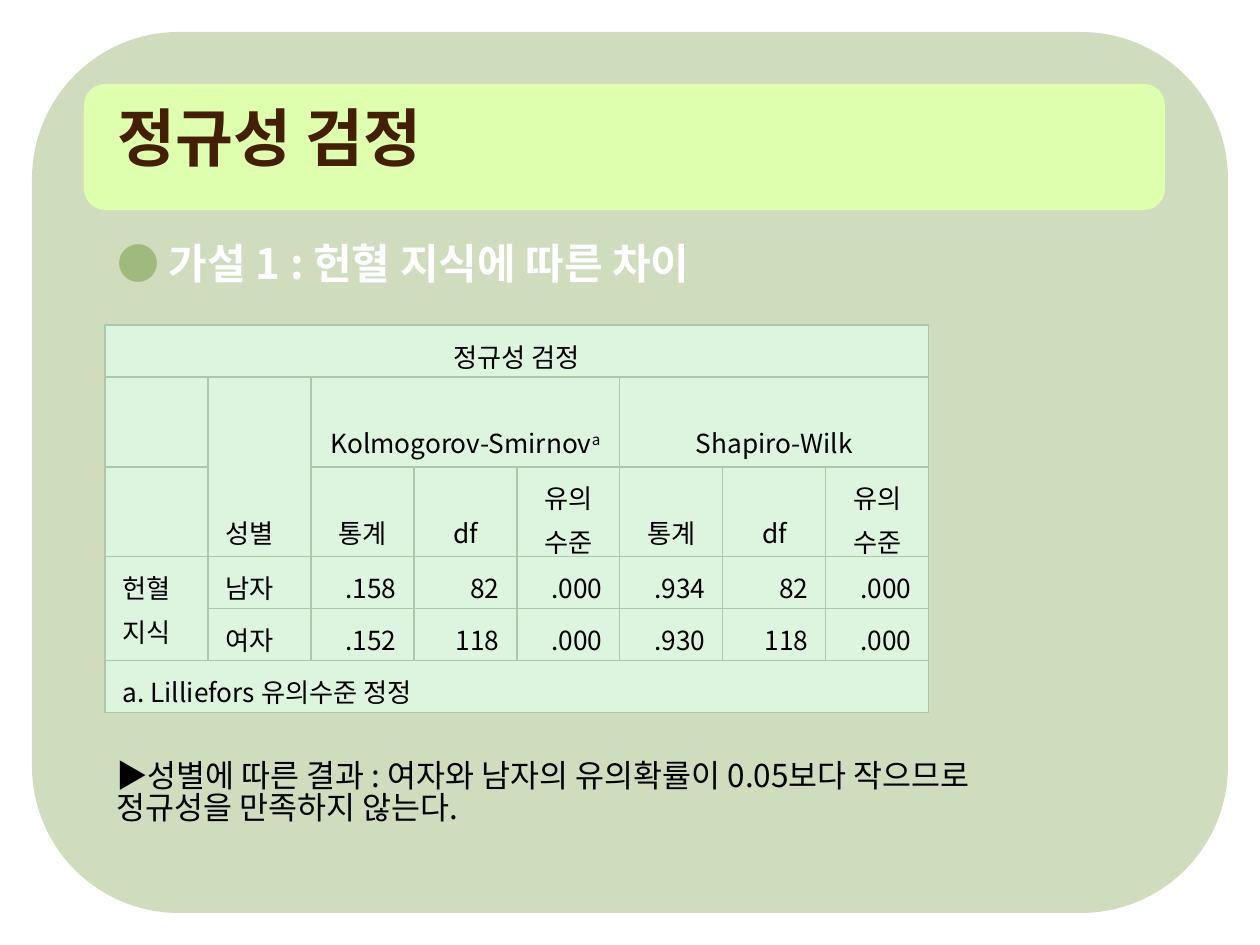
from lxml.etree import SubElement
from pptx import Presentation
from pptx.dml.color import RGBColor
from pptx.enum.shapes import MSO_SHAPE
from pptx.enum.text import MSO_ANCHOR as ANCHOR, MSO_AUTO_SIZE, PP_ALIGN as ALIGN
from pptx.oxml.ns import qn
from pptx.util import Emu, Pt

PX = 914400 // 126
FONT = "Noto Sans CJK KR"
WHITE = RGBColor(0xFF, 0xFF, 0xFF)
BLACK = RGBColor(0x00, 0x00, 0x00)
SAGE = RGBColor(0xCF, 0xDC, 0xBE)
LIME = RGBColor(0xDE, 0xFF, 0xAD)
LEAF = RGBColor(0x9F, 0xBA, 0x7C)
BROWN = RGBColor(0x43, 0x20, 0x03)
MINT = RGBColor(0xDD, 0xF4, 0xDE)
BORDER = RGBColor(0xAB, 0xC8, 0xAB)


def add_run(paragraph, text, **formats):
    """Append a run, with its colour and font attributes given by name."""
    run = paragraph.add_run()
    run.text = text
    run.font.color.rgb = formats.pop("color", BLACK)
    for name, value in {"name": FONT, **formats}.items():
        setattr(run.font, name, value)
    SubElement(run.font._element, qn("a:ea"), typeface=FONT)
    return run


def draw_borders(cell):
    properties = cell._tc.get_or_add_tcPr()
    for position, side in enumerate(("a:lnL", "a:lnR", "a:lnT", "a:lnB")):
        line = properties.makeelement(qn(side), {"w": str(Pt(0.75))})
        color = SubElement(SubElement(line, qn("a:solidFill")), qn("a:srgbClr"))
        color.set("val", str(BORDER))
        properties.insert(position, line)


prs = Presentation()
prs.slide_width, prs.slide_height = Emu(1260 * PX), Emu(945 * PX)
slide = prs.slides.add_slide(prs.slide_layouts[6])

# Background panel and title band
for box, color in (((32, 32, 1196, 881), SAGE), ((84, 84, 1081, 126), LIME)):
    panel = slide.shapes.add_shape(MSO_SHAPE.ROUNDED_RECTANGLE, *(n * PX for n in box))
    panel.shadow.inherit = False
    panel.fill.solid()
    panel.fill.fore_color.rgb = color
    panel.line.fill.background()

# Title, hypothesis and conclusion
texts = [
    ((105, 105, 359, 90), False, 36, True, [("정규성 검정", BROWN)]),
    ((105, 239, 1071, 63), True, 24, True,
     [("● ", LEAF), ("가설 1 : 헌혈 지식에 따른 차이", WHITE)]),
    ((104, 756, 976, 90), True, 18, False,
     [("▶성별에 따른 결과 : 여자와 남자의 유의확률이 0.05보다 작으므로 "
       "정규성을 만족하지 않는다.", BLACK)]),
]
for box, wrap, size, bold, parts in texts:
    frame = slide.shapes.add_textbox(*(n * PX for n in box)).text_frame
    frame.word_wrap = wrap
    frame.auto_size = MSO_AUTO_SIZE.SHAPE_TO_FIT_TEXT
    paragraph = frame.paragraphs[0]
    paragraph.line_spacing = 0.84
    for text, color in parts:
        add_run(paragraph, text, color=color, size=Pt(size), bold=bold)

# Normality test table
COLUMN_WIDTH = 103
ROW_HEIGHTS = [52, 90, 90, 52, 52, 52]
measures = ["통계", "df", "유의수준"]
rows = [
    ["정규성 검정"],
    ["", "성별", "Kolmogorov-Smirnov", "", "", "Shapiro-Wilk"],
    ["", "", *measures, *measures],
    ["헌혈지식", "남자", ".158", "82", ".000", ".934", "82", ".000"],
    ["", "여자", ".152", "118", ".000", ".930", "118", ".000"],
    ["a. Lilliefors 유의수준 정정"],
]
merges = [((0, 0), (0, 7)), ((1, 1), (2, 1)), ((1, 2), (1, 4)),
          ((1, 5), (1, 7)), ((3, 0), (4, 0)), ((5, 0), (5, 7))]

grid = slide.shapes.add_table(len(rows), 8, 105 * PX, 325 * PX,
                              8 * COLUMN_WIDTH * PX, sum(ROW_HEIGHTS) * PX)
table = grid.table
for column in table.columns:
    column.width = COLUMN_WIDTH * PX
for row, height in zip(table.rows, ROW_HEIGHTS):
    row.height = height * PX
for start, end in merges:
    table.cell(*start).merge(table.cell(*end))

for r in range(len(rows)):
    for c in range(8):
        cell = table.cell(r, c)
        cell.fill.solid()
        cell.fill.fore_color.rgb = MINT
        draw_borders(cell)
        text = rows[r][c] if c < len(rows[r]) else ""
        paragraph = cell.text_frame.paragraphs[0]
        if not text:
            paragraph.font.size = Pt(15)
            continue
        if r == 0:
            align, anchor = ALIGN.CENTER, ANCHOR.MIDDLE
        elif r < 3:
            align, anchor = (ALIGN.LEFT if c == 1 else ALIGN.CENTER), ANCHOR.BOTTOM
        elif c > 1:
            align, anchor = ALIGN.RIGHT, ANCHOR.MIDDLE
        else:
            align, anchor = ALIGN.LEFT, ANCHOR.TOP
        cell.vertical_anchor = anchor
        paragraph.alignment = align
        paragraph.line_spacing = 1.14
        for margin in ("marL", "marR"):
            paragraph._p.get_or_add_pPr().set(margin, str(5 * PX))
        add_run(paragraph, text, size=Pt(15))

footnote_mark = add_run(table.cell(1, 2).text_frame.paragraphs[0], "a", size=Pt(15))
footnote_mark.font._element.set("baseline", "30000")

prs.save("out.pptx")
